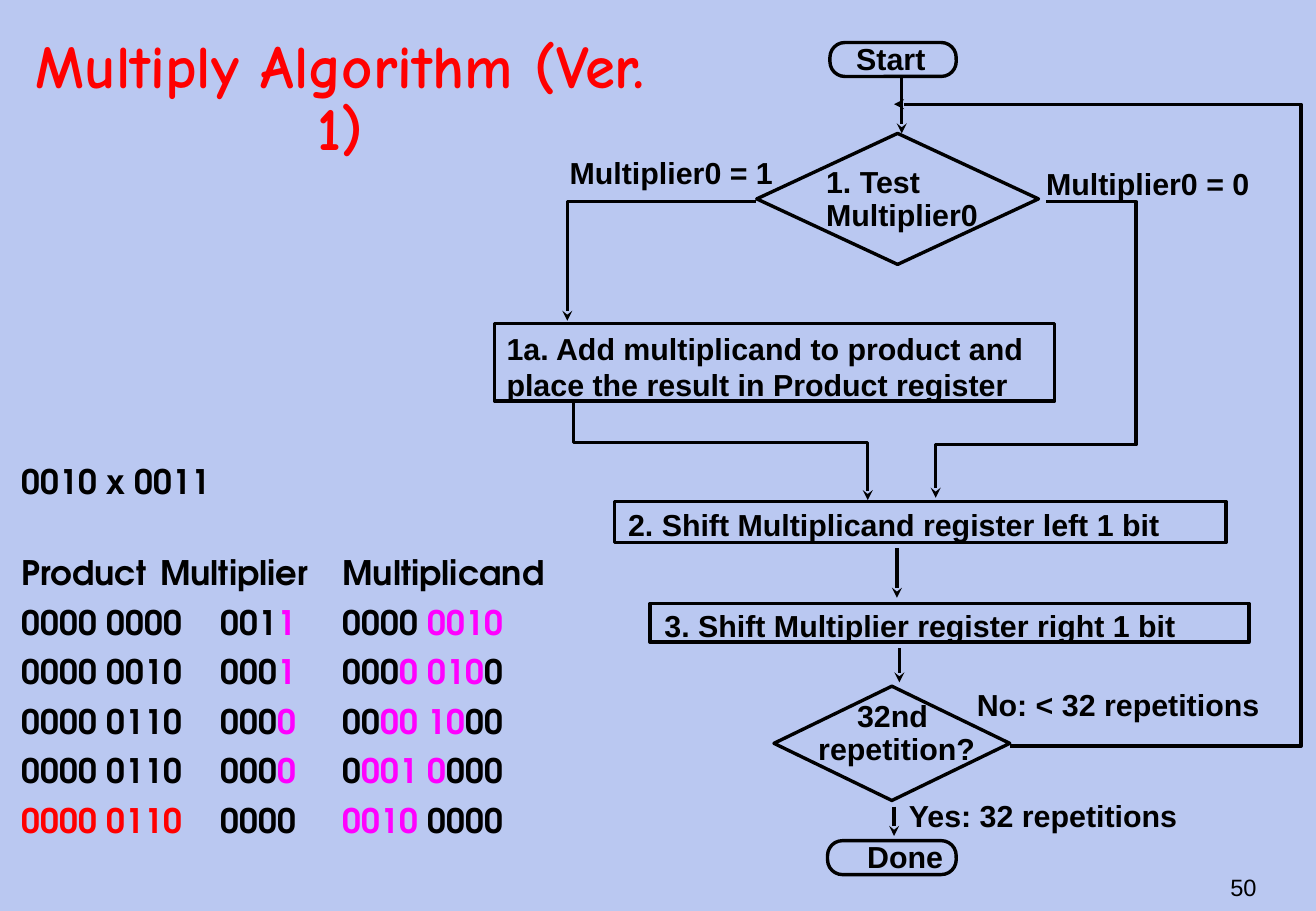
from lxml.etree import SubElement
from pptx import Presentation
from pptx.dml.color import RGBColor
from pptx.enum.shapes import MSO_CONNECTOR as Connector, MSO_SHAPE as Shape
from pptx.enum.text import MSO_ANCHOR as Anchor, MSO_AUTO_SIZE as AutoSize, PP_ALIGN as Align
from pptx.oxml.ns import qn
from pptx.util import Cm, Pt

BLACK, RED, MAGENTA = "000000", "FF0000", "FF00FF"


def color(value):
    return RGBColor.from_string(value)


class Flowchart:
    label_font = "Arial"
    title_font = "Comic Neue"
    table_font = "TeX Gyre Adventor"
    line_width = Pt(2)

    def __init__(self, deck, background):
        self.page = deck.slides.add_slide(deck.slide_layouts[6])
        fill = self.page.background.fill
        fill.solid()
        fill.fore_color.rgb = color(background)

    def frame(self, left, top, width, height, wrap=True, anchor=Anchor.TOP):
        box = self.page.shapes.add_textbox(Cm(left), Cm(top), Cm(width), Cm(height))
        frame = box.text_frame
        frame.word_wrap = wrap
        frame.vertical_anchor = anchor
        return frame

    def style(self, para, font, size, bold=True, ink=BLACK, align=Align.LEFT, spacing=1.0):
        para.font.name = font
        para.font.size = Pt(size)
        para.font.bold = bold
        para.font.color.rgb = color(ink)
        para.alignment = align
        para.line_spacing = spacing

    def text(self, text, left, top, width, height, font, size, anchor=Anchor.MIDDLE, **look):
        frame = self.frame(left, top, width, height, anchor=anchor)
        frame.text = text
        self.style(frame.paragraphs[0], font, size, **look)

    def label(self, text, left, top, width, height=1.02, align=Align.LEFT, spacing=1.0):
        frame = self.frame(left, top, width, height, wrap=False)
        frame.auto_size = AutoSize.SHAPE_TO_FIT_TEXT
        frame.text = text
        for para in frame.paragraphs:
            self.style(para, self.label_font, 18, align=align, spacing=spacing)

    def trace(self, rows, left, top, width, height):
        frame = self.frame(left, top, width, height)
        for index, (text, spacing, before, accents) in enumerate(rows):
            para = frame.add_paragraph() if index else frame.paragraphs[0]
            self.style(para, self.table_font, 20, spacing=spacing)
            para.space_before = Pt(before)
            properties = para._p.get_or_add_pPr()
            properties.set("marL", str(Cm(0.56)))
            properties.set("indent", str(-Cm(0.56)))
            for position, part in enumerate(text.split("|")):
                span = para.add_run()
                span.text = part
                if position % 2:
                    span.font.color.rgb = color(accents[position // 2])

    def outline(self, shape):
        shape.line.color.rgb = color(BLACK)
        shape.line.width = self.line_width

    def node(self, kind, left, top, width, height):
        shape = self.page.shapes.add_shape(kind, Cm(left), Cm(top), Cm(width), Cm(height))
        shape.shadow.inherit = False
        shape.fill.background()
        self.outline(shape)
        if kind == Shape.ROUNDED_RECTANGLE:
            shape.adjustments[0] = 0.44

    def arrow(self, *points):
        start, *rest = [(Cm(x), Cm(y)) for x, y in points]
        shapes = self.page.shapes
        if len(rest) == 1:
            shape = shapes.add_connector(Connector.STRAIGHT, *start, *rest[0])
            self.outline(shape)
            SubElement(shape._element.spPr, qn("a:effectLst"))
        else:
            builder = shapes.build_freeform(*start)
            builder.add_line_segments(rest, close=False)
            shape = builder.convert_to_shape()
            shape.shadow.inherit = False
            shape.fill.background()
            self.outline(shape)
        SubElement(shape.line._get_or_add_ln(), qn("a:tailEnd"), type="stealth")


def main():
    deck = Presentation()
    deck.slide_width, deck.slide_height = Cm(27.51), Cm(19.05)
    chart = Flowchart(deck, "BAC8F1")

    chart.text("Multiply Algorithm (Ver. 1)", 0, 0.94, 14.22, 2.34, chart.title_font, 36,
               ink=RED, align=Align.CENTER, spacing=0.85)
    chart.text("50", 20.78, 17.91, 5.74, 1.27, chart.label_font, 14, bold=False, align=Align.RIGHT)

    steps = [
        " 0000 0000\t001|1|\t0000 |0010",
        " 0000 0010\t000|1|\t000|0 010|0",
        " 0000 0110\t000|0|\t00|00 10|00",
        " 0000 0110\t000|0|\t0|001 0|000",
    ]
    chart.trace(
        [(" 0010 x 0011", 0.9, 3, []),
         (" Product\tMultiplier \tMultiplicand", 1.1, 27.5, [])]
        + [(step, 1.1, 3, [MAGENTA, MAGENTA]) for step in steps]
        + [(" |0000 0110|\t0000\t|0010| 0000", 1.1, 3, [RED, MAGENTA])],
        0, 9.6, 13.13, 8.84)

    for node in [
        (Shape.ROUNDED_RECTANGLE, 17.35, 0.89, 2.64, 0.71),
        (Shape.DIAMOND, 15.82, 2.79, 5.89, 2.74),
        (Shape.RECTANGLE, 10.34, 6.76, 11.71, 1.63),
        (Shape.RECTANGLE, 12.85, 10.49, 12.78, 0.86),
        (Shape.RECTANGLE, 13.59, 12.62, 12.52, 0.81),
        (Shape.DIAMOND, 16.18, 14.35, 4.93, 2.39),
        (Shape.ROUNDED_RECTANGLE, 17.3, 17.58, 2.69, 0.71),
    ]:
        chart.node(*node)

    for label in [
        ("Start", 17.65, 0.71, 2.13),
        ("1. Test\nMultiplier0", 17.02, 3.38, 3.99, 1.63, Align.LEFT, 0.9),
        ("Multiplier0 = 1", 11.66, 3.1, 5.16),
        ("Multiplier0 = 0", 21.62, 3.33, 5.16),
        ("1a. Add multiplicand to product and\nplace the result in Product register",
         10.34, 6.78, 11.51, 1.78),
        ("2. Shift Multiplicand register left 1 bit", 12.88, 10.46, 12.6),
        ("3. Shift Multiplier register right 1 bit", 13.64, 12.57, 12.14),
        ("32nd \nrepetition?", 16.69, 14.55, 4.11, 1.63, Align.CENTER, 0.9),
        ("No: < 32 repetitions", 20.17, 14.22, 6.96),
        ("Yes: 32 repetitions", 18.75, 16.54, 6.65),
        ("Done", 17.88, 17.4, 2.29),
    ]:
        chart.label(*label)

    for points in [
        [(18.85, 1.63), (18.85, 2.79)],
        [(15.8, 4.22), (11.86, 4.22), (11.86, 6.71)],
        [(21.87, 4.22), (23.75, 4.22), (23.75, 9.3), (19.56, 9.3), (19.56, 10.41)],
        [(11.99, 8.43), (11.99, 9.25), (18.14, 9.25), (18.14, 10.46)],
        [(18.75, 11.46), (18.75, 12.5)],
        [(18.8, 13.56), (18.8, 14.27)],
        [(21.11, 15.6), (27.2, 15.6), (27.2, 2.18), (18.69, 2.18)],
        [(18.69, 16.87), (18.69, 17.48)],
    ]:
        chart.arrow(*points)

    deck.save("out.pptx")


if __name__ == "__main__":
    main()
